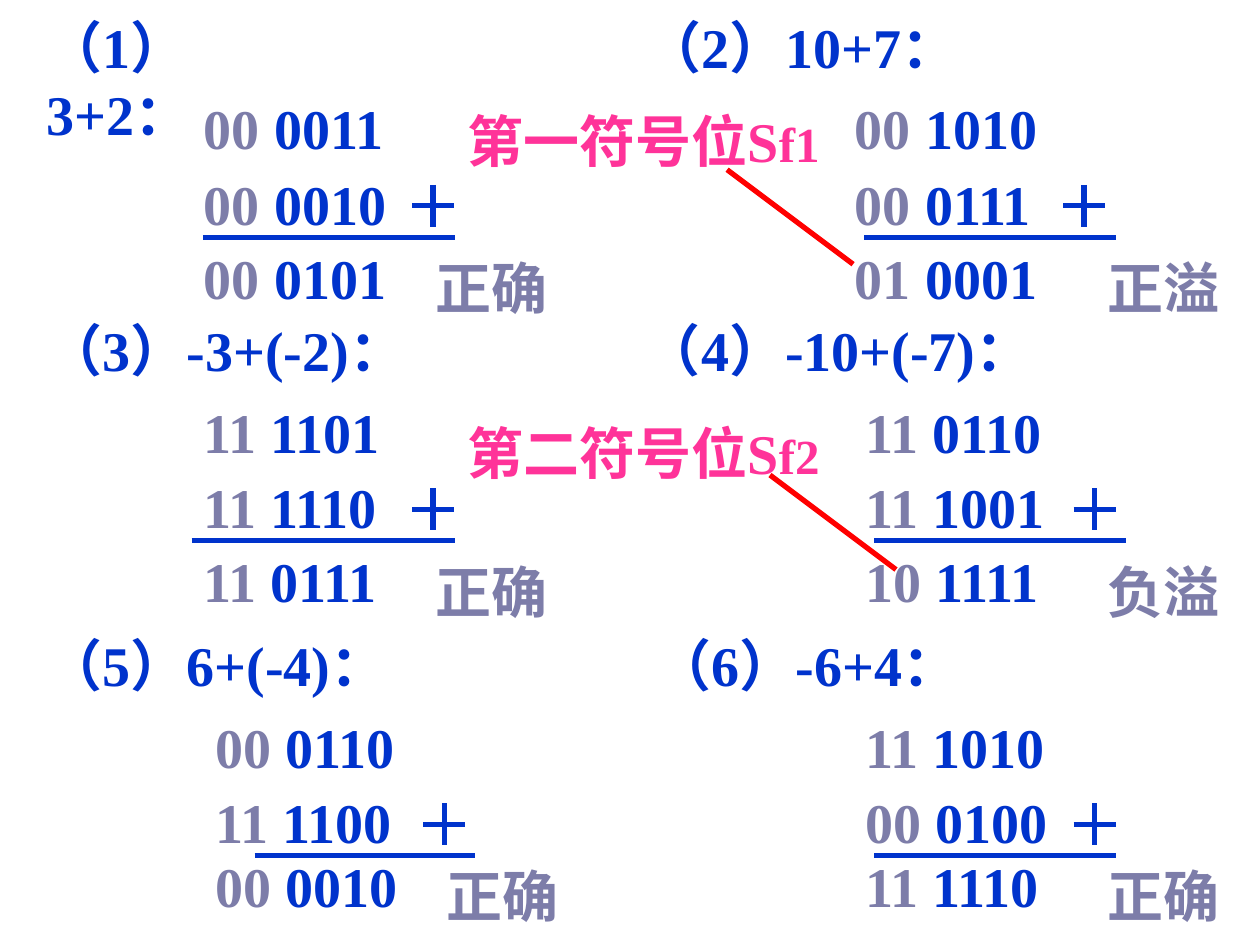
from collections import namedtuple
from dataclasses import dataclass

from lxml import etree
from pptx import Presentation
from pptx.dml.color import RGBColor
from pptx.enum import shapes, text
from pptx.oxml import ns
from pptx.util import Pt


@dataclass(frozen=True)
class Theme:
    font: str = "Times New Roman"
    value: RGBColor = RGBColor(0x00, 0x33, 0xCC)
    sign: RGBColor = RGBColor(0x7D, 0x7D, 0xA9)
    label: RGBColor = RGBColor(0xFF, 0x33, 0x99)
    pointer: RGBColor = RGBColor(0xFF, 0x00, 0x00)
    size: float = 32
    subscript: float = 28
    stroke: float = 3
    line_height: float = 46


THEME = Theme()
Box = namedtuple("Box", "left top width height")

# Lengths in points; digits, rule and verdict are offsets from the box's left.
Problem = namedtuple(
    "Problem", "box title operands operands_width total verdict digits rule verdict_left")

ROW_TOPS = (3.6, 177, 357)
PROBLEMS = (
    Problem(Box(19.5, ROW_TOPS[0], 162, 84), "（1）3+2：", ("00 0011", "00 0010"),
            144, "00 0101", "正确", 90, (96.5, 240.5), 222.5),
    Problem(Box(361.5, ROW_TOPS[0], 276, 46), "（2）10+7：", ("00 1010", "00 0111"),
            144, "01 0001", "正溢", 120, (132.5, 276.5), 264),
    Problem(Box(19.5, ROW_TOPS[1], 264, 46), "（3）-3+(-2)：", ("11 1101", "11 1110"),
            150, "11 0111", "正确", 90, (90, 240.5), 222.5),
    Problem(Box(361.5, ROW_TOPS[1], 294, 46), "（4）-10+(-7)：", ("11 0110", "11 1001"),
            132, "10 1111", "负溢", 126, (138, 282), 264),
    Problem(Box(19.5, ROW_TOPS[2], 246, 46), "（5）6+(-4)：", ("00 0110", "11 1100"),
            150, "00 0010", "正确", 96.5, (126, 252), 228.5),
    Problem(Box(367.5, ROW_TOPS[2], 258, 46), "（6）-6+4：", ("11 1010", "00 0100"),
            144, "11 1110", "正确", 120, (132, 270.5), 258),
)


def add_text(parent, box, paragraphs, *, before=20, spacing=None):
    """Each paragraph is a list of (words, colour, size) runs."""
    frame = parent.add_textbox(*map(Pt, box)).text_frame
    frame.word_wrap = True
    frame.auto_size = text.MSO_AUTO_SIZE.SHAPE_TO_FIT_TEXT
    for index, runs in enumerate(paragraphs):
        paragraph = frame.add_paragraph() if index else frame.paragraphs[0]
        paragraph.space_before = Pt(before)
        if spacing:
            paragraph.line_spacing = spacing
        for words, colour, size in runs:
            run = paragraph.add_run()
            run.text = words
            run.font.name = THEME.font
            run.font.size = Pt(size)
            run.font.bold = True
            run.font.color.rgb = colour


def add_line(parent, x1, y1, x2, y2, colour=THEME.value):
    line = parent.add_connector(
        shapes.MSO_CONNECTOR.STRAIGHT, Pt(x1), Pt(y1), Pt(x2), Pt(y2))
    line.line.color.rgb = colour
    line.line.width = Pt(THEME.stroke)
    etree.SubElement(line._element.spPr, ns.qn("a:effectLst"))


def binary_runs(number):
    sign, value = number.split()
    return [(sign, THEME.sign, THEME.size), (" " + value, THEME.value, THEME.size)]


def add_plus(parent, x, y, arm=12):
    add_line(parent, x - arm, y, x + arm, y)
    add_line(parent, x, y - arm, x, y + arm)


def add_problem(slide, problem, total_rise=0):
    """Draws one written addition; total_rise lifts the result towards the rule."""
    parent = slide.shapes.add_group_shape().shapes
    left, top = problem.box.left, problem.box.top
    digits = left + problem.digits
    rule_top = top + 132

    add_text(parent, problem.box, [[(problem.title, THEME.value, THEME.size)]])
    add_text(parent, Box(left + problem.verdict_left, top + 138 - total_rise, 90, THEME.line_height),
             [[(problem.verdict, THEME.sign, THEME.size)]])
    add_text(parent, Box(digits, top + 60, problem.operands_width, 73.5),
             [binary_runs(number) for number in problem.operands], spacing=0.6)
    add_text(parent, Box(digits, rule_top - total_rise, 138, 84),
             [binary_runs(problem.total)])
    add_plus(parent, digits + 138, top + 114)
    start, end = problem.rule
    add_line(parent, left + start, rule_top, left + end, rule_top)


def add_sign_label(slide, box, words, subscript, pointer):
    """Names a sign bit; pointer is (x1, y1, x2, y2) relative to the box."""
    x1, y1, x2, y2 = pointer
    add_line(slide.shapes, box.left + x1, box.top + y1,
             box.left + x2, box.top + y2, THEME.pointer)
    add_text(slide.shapes, box,
             [[(words, THEME.label, THEME.size), (subscript, THEME.label, THEME.subscript)]],
             before=17.5)


def main():
    deck = Presentation()
    deck.slide_width, deck.slide_height = Pt(720), Pt(540)
    slide = deck.slides.add_slide(deck.slide_layouts[6])
    for problem in PROBLEMS:
        add_problem(slide, problem, total_rise=6 if problem.box.top == ROW_TOPS[-1] else 0)
    add_sign_label(slide, Box(260, 57.5, 264, THEME.line_height),
                   "第一符号位S", "f1", (155.5, 39.5, 227.5, 93.5))
    add_sign_label(slide, Box(260, 235.5, 264, THEME.line_height),
                   "第二符号位S", "f2", (180, 36, 252, 90))
    deck.save("out.pptx")


if __name__ == "__main__":
    main()
